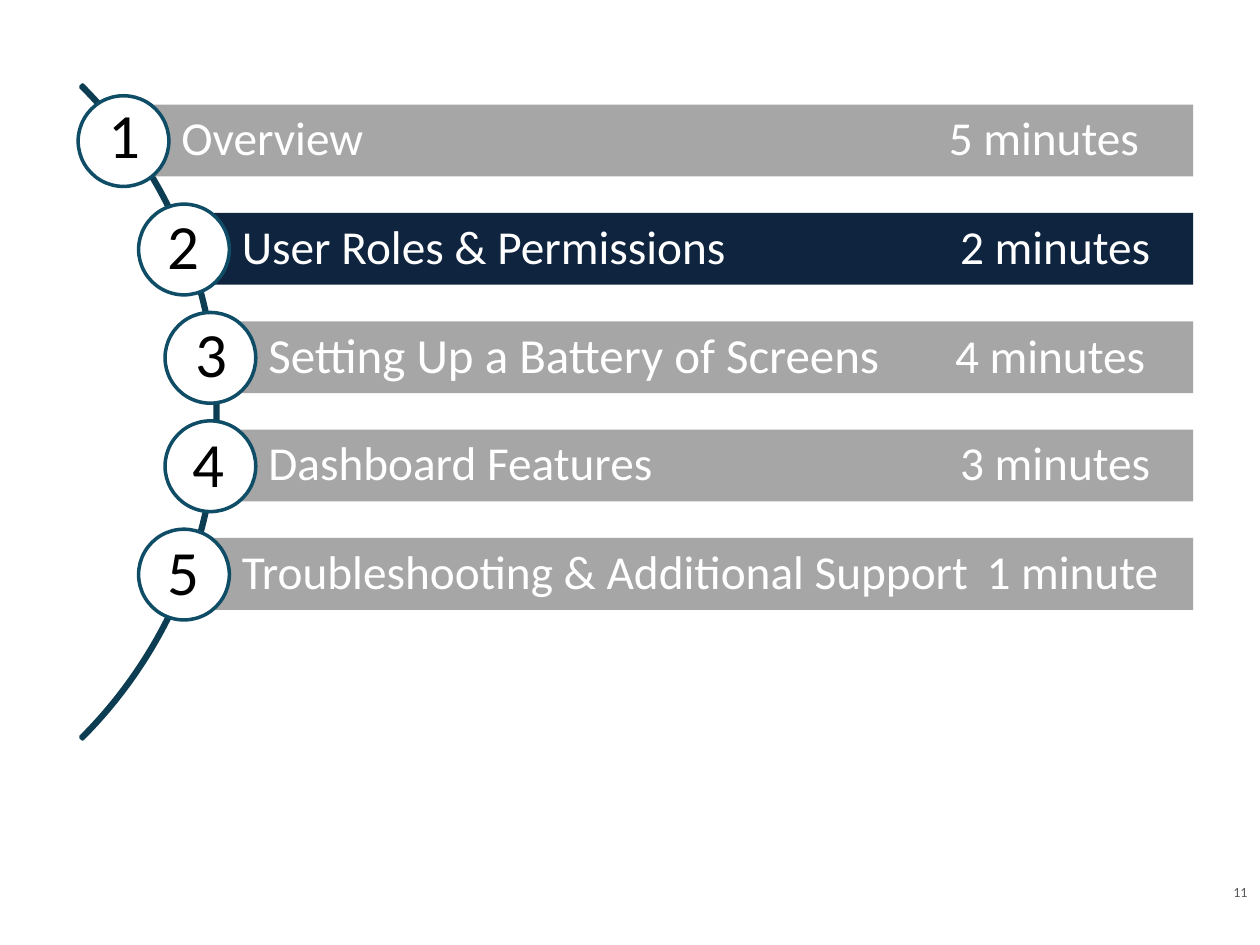
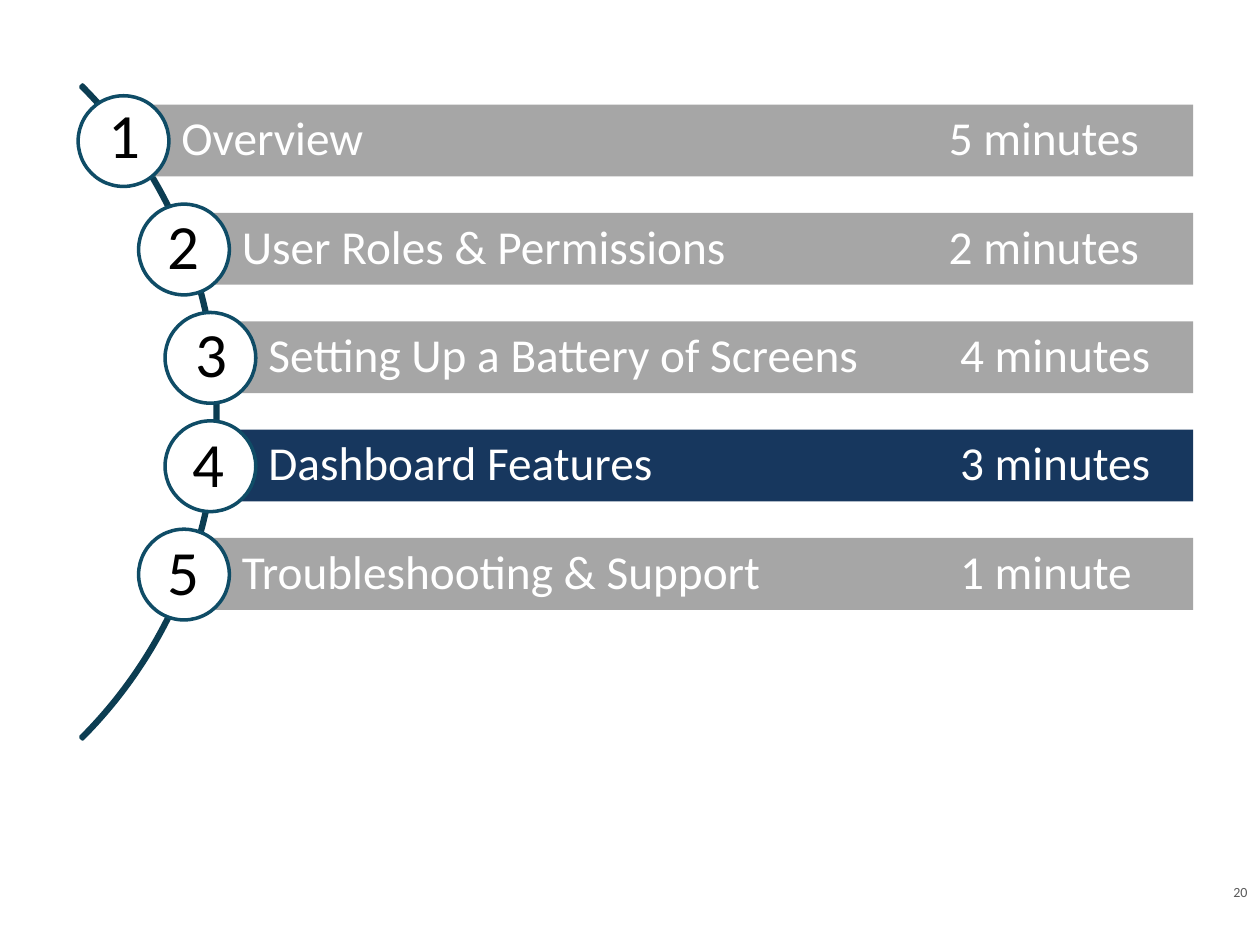
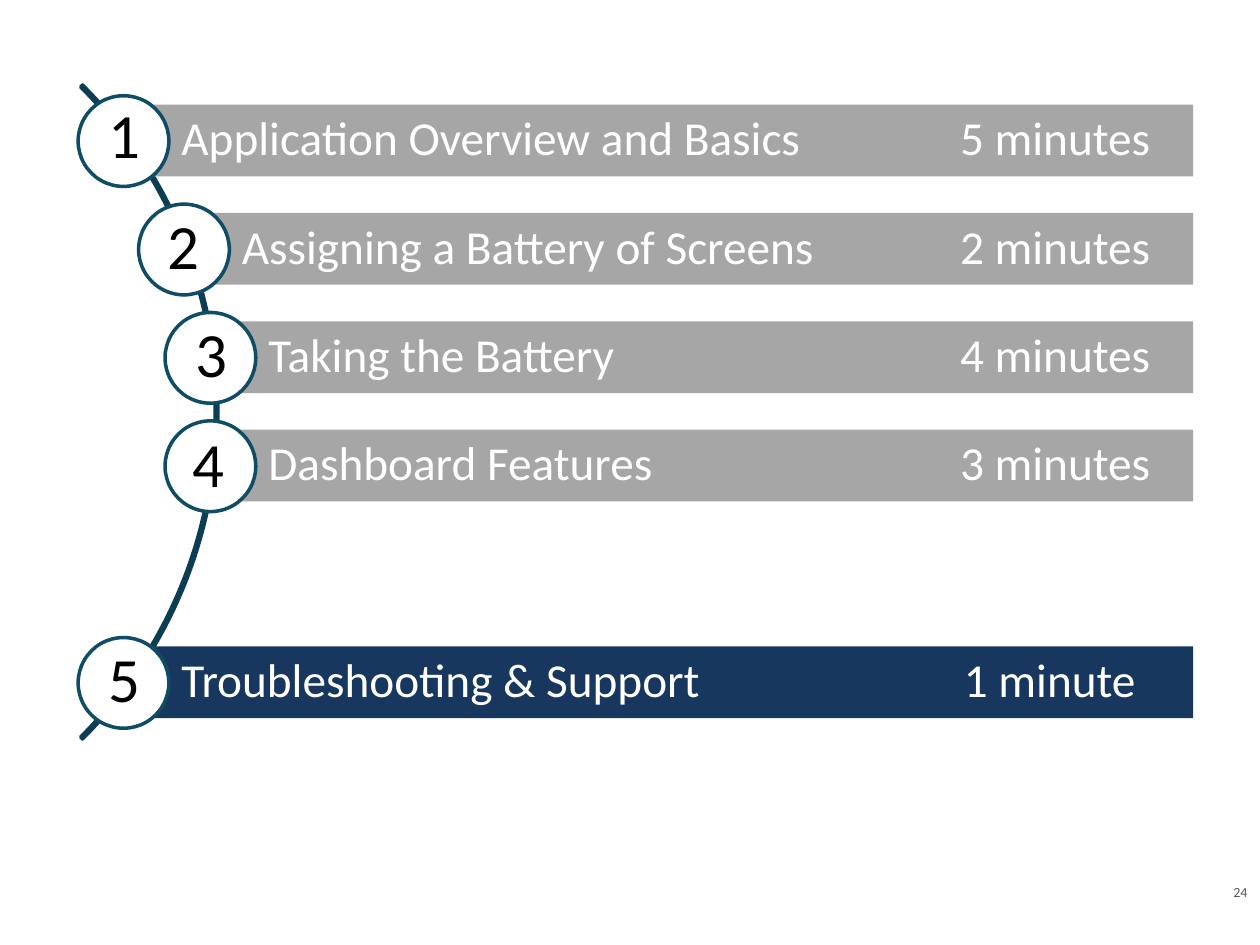
import dataclasses

import lxml.etree
import pptx
import pptx.dml.color
import pptx.enum.shapes
import pptx.enum.text
import pptx.oxml.ns
import pptx.util
from pptx.util import Inches

Shape = pptx.enum.shapes.MSO_SHAPE
Align = pptx.enum.text.PP_ALIGN
Anchor = pptx.enum.text.MSO_ANCHOR

# Shared look
FONT = "Calibri"
WHITE, BLACK = "FFFFFF", "000000"
GREY, NAVY, BLUE = "A6A6A6", "0F243E", "17375E"
ARC, RING, FOOT = "0C3D52", "0F4C66", "595959"

# Shared sizes, in inches
TOP, STEP = 0.83, 0.86
RIGHT, HIGH = 9.47, 0.57
INDENT, PAD = 0.46, 0.07
DISC = 0.72


@dataclasses.dataclass(frozen=True)
class Slot:
    """Place of one row: left of its bar, left and top of its digit."""
    bar: float
    left: float
    top: float


@dataclasses.dataclass(frozen=True)
class Row:
    label: str
    time: str
    stop: float = 7.62  # where the time starts on the slide
    fill: str = GREY
    size: int = 27
    slot: int | None = None


@dataclasses.dataclass(frozen=True)
class Page:
    number: int
    rows: tuple[Row, ...]


SLOTS = (
    Slot(0.98, 0.76, 0.71),
    Slot(1.46, 1.23, 1.59),
    Slot(1.67, 1.45, 2.45),
    Slot(1.67, 1.43, 3.32),
    Slot(1.46, 1.23, 4.18),
    Slot(0.98, 0.76, 5.03),
)

PAGES = (
    Page(11, (
        Row("Overview", "5 minutes", stop=7.53),
        Row("User Roles & Permissions", "2 minutes", fill=NAVY),
        Row("Setting Up a Battery of Screens", "4 minutes", stop=7.58, size=28),
        Row("Dashboard Features", "3 minutes"),
        Row("Troubleshooting & Additional Support", "1 minute", stop=7.83),
    )),
    Page(20, (
        Row("Overview", "5 minutes", stop=7.53),
        Row("User Roles & Permissions", "2 minutes", stop=7.53),
        Row("Setting Up a Battery of Screens", "4 minutes"),
        Row("Dashboard Features", "3 minutes", fill=BLUE),
        Row("Troubleshooting & Support", "1 minute"),
    )),
    Page(24, (
        Row("Application Overview and Basics", "5 minutes"),
        Row("Assigning a Battery of Screens", "2 minutes"),
        Row("Taking the Battery", "4 minutes"),
        Row("Dashboard Features", "3 minutes"),
        Row("Troubleshooting & Support", "1 minute", stop=7.65, fill=BLUE, slot=5),
    )),
)


def shade(code: str) -> pptx.dml.color.RGBColor:
    return pptx.dml.color.RGBColor.from_string(code)


def add_form(slide, kind, left: float, top: float, width: float, height: float,
             fill: str | None = None, line: str | None = None):
    form = slide.shapes.add_shape(
        kind, Inches(left), Inches(top), Inches(width), Inches(height))
    form.shadow.inherit = False
    if fill:
        form.fill.solid()
        form.fill.fore_color.rgb = shade(fill)
    else:
        form.fill.background()
    if line:
        form.line.color.rgb = shade(line)
        form.line.width = pptx.util.Pt(2)
    else:
        form.line.fill.background()
    return form


def add_run(para, text: str, size: int, hue: str) -> None:
    run = para.add_run()
    run.text = text
    run.font.name = FONT
    run.font.size = pptx.util.Pt(size)
    run.font.color.rgb = shade(hue)


def add_note(slide, text: str, left: float, top: float, width: float, height: float,
             size: int, hue: str, align):
    box = slide.shapes.add_textbox(
        Inches(left), Inches(top), Inches(width), Inches(height))
    para = box.text_frame.paragraphs[0]
    para.alignment = align
    add_run(para, text, size, hue)
    return box.text_frame


def add_stop(para, place: float) -> None:
    """Set one left tab stop, measured from the start of the text."""
    name = pptx.oxml.ns.qn
    tabs = lxml.etree.SubElement(para._p.get_or_add_pPr(), name("a:tabLst"))
    lxml.etree.SubElement(tabs, name("a:tab"), pos=str(Inches(place)), algn="l")


def add_row(slide, row: Row, index: int) -> None:
    place = index if row.slot is None else row.slot
    slot = SLOTS[place]
    top = TOP + place * STEP

    # Bar with label and time
    bar = add_form(slide, Shape.RECTANGLE, slot.bar, top, RIGHT - slot.bar, HIGH, row.fill)
    frame = bar.text_frame
    frame.word_wrap = True
    frame.vertical_anchor = Anchor.MIDDLE
    frame.margin_left = Inches(INDENT)
    frame.margin_top = frame.margin_right = frame.margin_bottom = Inches(PAD)
    para = frame.paragraphs[0]
    para.alignment = Align.LEFT
    para.line_spacing = 0.9
    add_stop(para, row.stop - slot.bar - INDENT)
    add_run(para, row.label, row.size, WHITE)
    add_run(para, "\t" + row.time, 27, WHITE)

    # Disc with digit
    add_form(slide, Shape.OVAL, slot.bar - DISC / 2, top - PAD, DISC, DISC, WHITE, RING)
    frame = add_note(slide, str(index + 1), slot.left, slot.top, 0.42, 0.71,
                     36, BLACK, Align.CENTER)
    frame.word_wrap = False
    frame.auto_size = pptx.enum.text.MSO_AUTO_SIZE.SHAPE_TO_FIT_TEXT


def add_page(deck, page: Page) -> None:
    slide = deck.slides.add_slide(deck.slide_layouts[6])

    # Page number
    frame = add_note(slide, str(page.number), 9.5, 6.88, 0.5, 0.4, 8, FOOT, Align.RIGHT)
    frame.word_wrap = True
    frame.vertical_anchor = Anchor.MIDDLE

    # Arc behind the rows
    arc = add_form(slide, Shape.BLOCK_ARC, -5.61, -0.4, 7.34, 7.34, line=ARC)
    for index, value in enumerate((189, 27, 0.003)):
        arc.adjustments[index] = value

    for index, row in enumerate(page.rows):
        add_row(slide, row, index)


def main() -> None:
    deck = pptx.Presentation()
    deck.slide_width, deck.slide_height = Inches(10), Inches(7.5)
    for page in PAGES:
        add_page(deck, page)
    deck.save("out.pptx")


if __name__ == "__main__":
    main()
